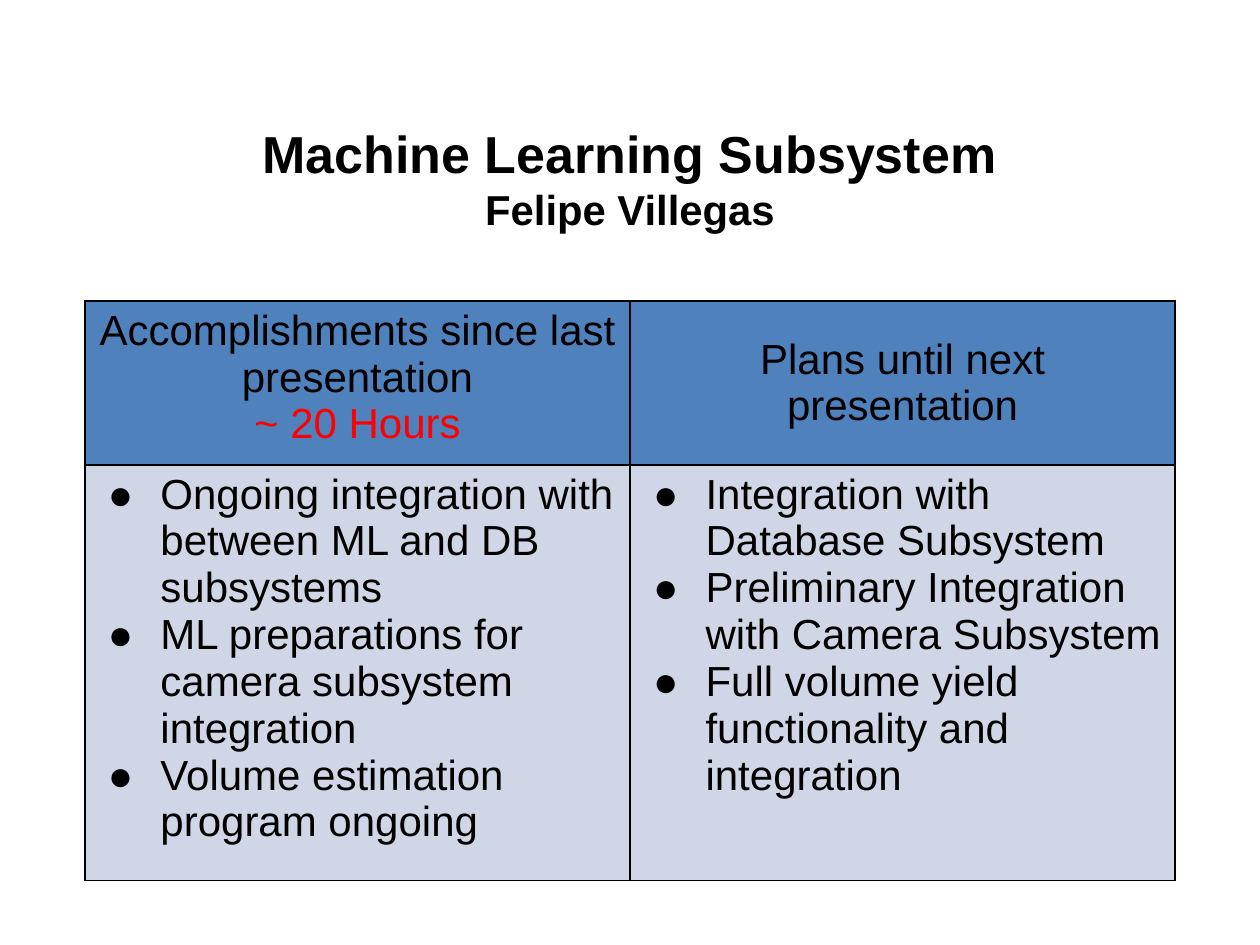
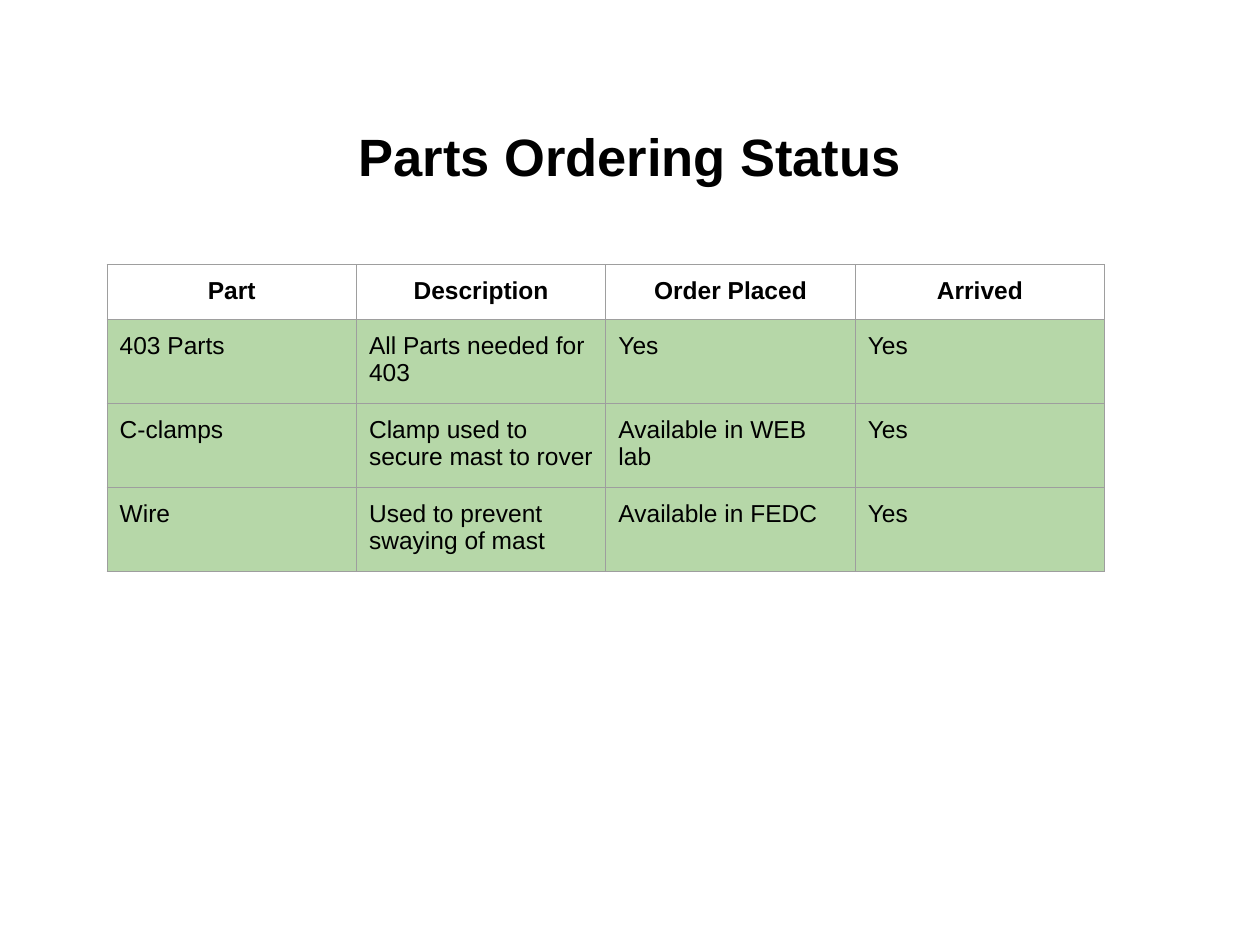
"""Build two project status slides: subsystem progress and parts ordering."""
from dataclasses import dataclass

from lxml import etree
from pptx import Presentation
from pptx.dml.color import RGBColor
from pptx.enum.text import MSO_ANCHOR, PP_ALIGN
from pptx.oxml.ns import qn
from pptx.util import Pt

LEFT, CENTER = PP_ALIGN.LEFT, PP_ALIGN.CENTER
TOP, MIDDLE = MSO_ANCHOR.TOP, MSO_ANCHOR.MIDDLE
FONT = "Arial"
BLACK, RED, GREY = "000000", "FF0000", "9E9E9E"
BLUE, PALE_BLUE, GREEN = "4F81BD", "CFD7E7", "B6D7A8"
BLANK_LAYOUT = 6
BORDER_SIDES = ("lnL", "lnR", "lnT", "lnB")


@dataclass(frozen=True)
class Line:
    """One paragraph of text with its look."""
    text: str
    size: float
    bold: bool = False
    color: str = BLACK
    align: PP_ALIGN = LEFT
    bullet: str = ""


@dataclass(frozen=True)
class Cell:
    """The content and background of one table cell."""
    lines: list[Line]
    fill: str = ""
    anchor: MSO_ANCHOR = TOP


@dataclass(frozen=True)
class Grid:
    """Place, measures and border of a table, in points."""
    left: float
    top: float
    column_width: float
    row_heights: list[float]
    border_color: str
    border_width: float
    margin_y: float


def rgb(value: str) -> RGBColor:
    """Turn a hex string into a colour."""
    return RGBColor.from_string(value)


def apply(target, values: dict) -> None:
    """Set each named attribute on the target."""
    for name, value in values.items():
        setattr(target, name, value)


def add_bullet(para, line: Line) -> None:
    """Give a paragraph a hanging bullet."""
    properties = para._p.get_or_add_pPr()
    properties.set("marL", str(Pt(36)))
    properties.set("indent", str(-Pt(30)))
    color = etree.SubElement(properties, qn("a:buClr"))
    etree.SubElement(color, qn("a:srgbClr"), val=line.color)
    etree.SubElement(properties, qn("a:buFont"), typeface=FONT)
    etree.SubElement(properties, qn("a:buChar"), char=line.bullet)


def write_lines(frame, lines: list[Line]) -> None:
    """Fill a text frame with one paragraph per line."""
    for index, line in enumerate(lines):
        para = frame.add_paragraph() if index else frame.paragraphs[0]
        para.alignment = line.align
        if line.bullet:
            add_bullet(para, line)
        span = para.add_run()
        span.text = line.text
        apply(span.font, {"name": FONT, "size": Pt(line.size), "bold": line.bold})
        span.font.color.rgb = rgb(line.color)


def add_title(page, top: float, lines: list[Line]) -> None:
    """Place the centred slide title."""
    box = page.shapes.add_textbox(Pt(36), Pt(top), Pt(648), Pt(63))
    apply(box.text_frame, {"word_wrap": True, "vertical_anchor": MIDDLE})
    write_lines(box.text_frame, lines)


def add_borders(cell, color: str, width: float) -> None:
    """Draw a solid border on every side of a cell."""
    properties = cell._tc.get_or_add_tcPr()
    for index, side in enumerate(BORDER_SIDES):
        border = etree.Element(qn(f"a:{side}"), w=str(Pt(width)))
        fill = etree.SubElement(border, qn("a:solidFill"))
        etree.SubElement(fill, qn("a:srgbClr"), val=color)
        properties.insert(index, border)


def fill_cell(target, cell: Cell, grid: Grid) -> None:
    """Write and style one table cell."""
    apply(target, {
        "vertical_anchor": cell.anchor,
        "margin_left": Pt(7.2), "margin_right": Pt(7.2),
        "margin_top": Pt(grid.margin_y), "margin_bottom": Pt(grid.margin_y),
    })
    write_lines(target.text_frame, cell.lines)
    if cell.fill:
        target.fill.solid()
        target.fill.fore_color.rgb = rgb(cell.fill)
    else:
        target.fill.background()
    add_borders(target, grid.border_color, grid.border_width)


def add_grid(page, grid: Grid, rows: list[list[Cell]]) -> None:
    """Draw a table with equal columns."""
    count = len(rows[0])
    table = page.shapes.add_table(
        len(rows), count, Pt(grid.left), Pt(grid.top),
        Pt(grid.column_width * count), Pt(sum(grid.row_heights))).table
    apply(table, {"first_row": False, "horz_banding": False})
    for column in table.columns:
        column.width = Pt(grid.column_width)
    for row, height, cells in zip(table.rows, grid.row_heights, rows):
        row.height = Pt(height)
        for target, cell in zip(row.cells, cells):
            fill_cell(target, cell, grid)


def build_progress(page) -> None:
    """Build the subsystem progress slide."""
    add_title(page, 69.84, [
        Line("Machine Learning Subsystem", 29.7, bold=True, align=CENTER),
        Line("Felipe Villegas", 23.9, bold=True, align=CENTER),
    ])
    done_heading = [
        Line("Accomplishments since last presentation", 24, align=CENTER),
        Line("~ 20 Hours", 24, color=RED, align=CENTER),
    ]
    plan_heading = [Line("Plans until next presentation", 24, align=CENTER)]
    done = ["Ongoing integration with between ML and DB subsystems",
            "ML preparations for camera subsystem integration",
            "Volume estimation program ongoing"]
    plans = ["Integration with Database Subsystem",
             "Preliminary Integration with Camera Subsystem",
             "Full volume yield functionality and integration"]
    header = [Cell(done_heading, BLUE), Cell(plan_heading, BLUE, MIDDLE)]
    body = [Cell([Line(item, 24, bullet="●") for item in items], PALE_BLUE)
            for items in (done, plans)]
    grid = Grid(48.5, 172, 311.5, [87.5, 226], BLACK, 1, 3.6)
    add_grid(page, grid, [header, body])


def build_parts(page) -> None:
    """Build the parts ordering slide."""
    add_title(page, 57.6, [
        Line("Parts Ordering Status", 30, bold=True, align=CENTER)])
    headings = ["Part", "Description", "Order Placed", "Arrived"]
    parts = [
        ["403 Parts", "All Parts needed for 403", "Yes", "Yes"],
        ["C-clamps", "Clamp used to secure mast to rover",
         "Available in WEB lab", "Yes"],
        ["Wire", "Used to prevent swaying of mast", "Available in FEDC", "Yes"],
    ]
    header = [Cell([Line(text, 14, bold=True, align=CENTER)])
              for text in headings]
    body = [[Cell([Line(text, 14)], GREEN) for text in part] for part in parts]
    grid = Grid(61.2, 151.2, 142.5, [30.24] + [45.8] * len(parts),
                GREY, 0.75, 7.2)
    add_grid(page, grid, [header, *body])


def main() -> None:
    """Create the deck and save it."""
    deck = Presentation()
    apply(deck, {"slide_width": Pt(720), "slide_height": Pt(540)})
    for build in (build_progress, build_parts):
        build(deck.slides.add_slide(deck.slide_layouts[BLANK_LAYOUT]))
    deck.save("out.pptx")


main()
